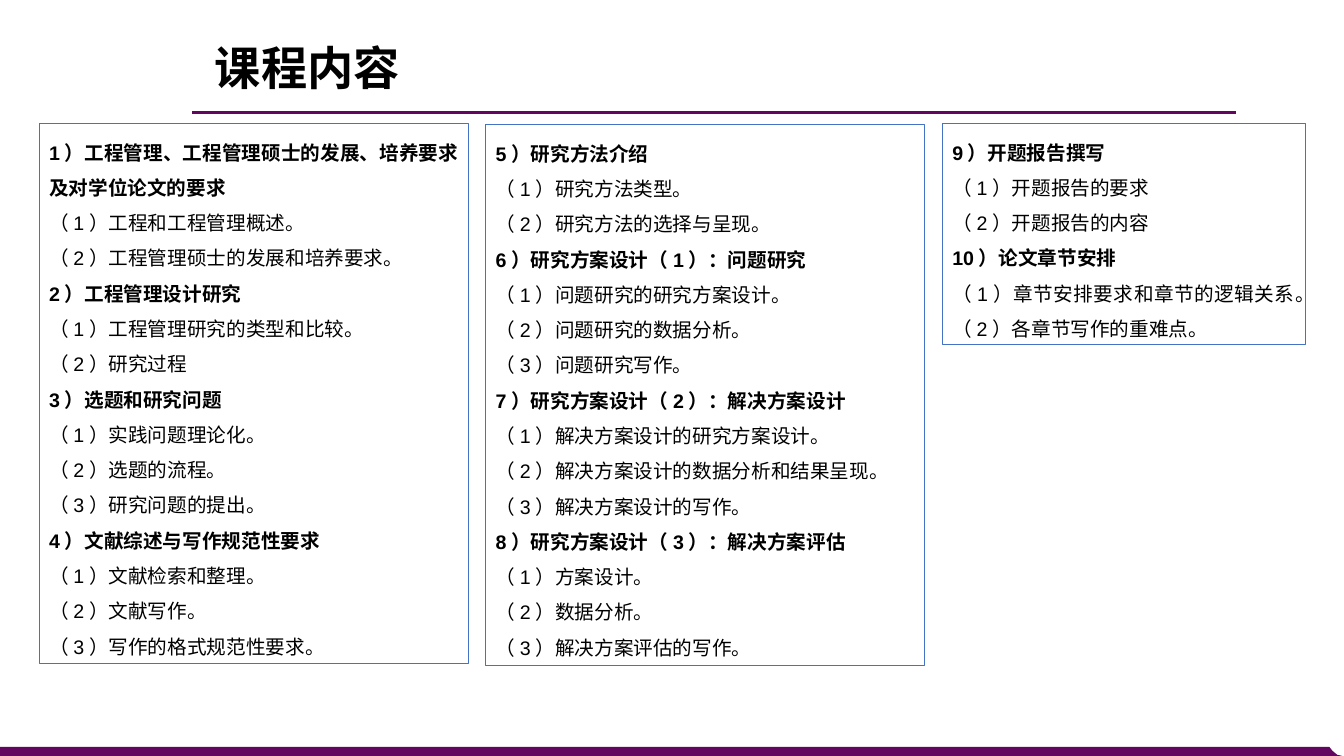
from pptx import Presentation
from pptx.dml.color import RGBColor
from pptx.enum.shapes import MSO_CONNECTOR, MSO_SHAPE
from pptx.enum.text import MSO_ANCHOR, MSO_AUTO_SIZE, PP_ALIGN
from pptx.oxml.ns import qn
from pptx.util import Cm, Pt
from lxml.etree import SubElement

TITLE = "课程内容"
# Each column: (left, top, width, height) in cm, then its chapters with their points
COLUMNS = [
    ((0.99, 3.12, 10.82, 13.61), [
        ("工程管理、工程管理硕士的发展、培养要求及对学位论文的要求",
         ["工程和工程管理概述。", "工程管理硕士的发展和培养要求。"]),
        ("工程管理设计研究", ["工程管理研究的类型和比较。", "研究过程"]),
        ("选题和研究问题", ["实践问题理论化。", "选题的流程。", "研究问题的提出。"]),
        ("文献综述与写作规范性要求",
         ["文献检索和整理。", "文献写作。", "写作的格式规范性要求。"]),
    ]),
    ((12.24, 3.15, 11.07, 13.61), [
        ("研究方法介绍", ["研究方法类型。", "研究方法的选择与呈现。"]),
        ("研究方案设计（1）：问题研究",
         ["问题研究的研究方案设计。", "问题研究的数据分析。", "问题研究写作。"]),
        ("研究方案设计（2）：解决方案设计",
         ["解决方案设计的研究方案设计。", "解决方案设计的数据分析和结果呈现。",
          "解决方案设计的写作。"]),
        ("研究方案设计（3）：解决方案评估",
         ["方案设计。", "数据分析。", "解决方案评估的写作。"]),
    ]),
    ((23.75, 3.12, 9.14, 5.56), [
        ("开题报告撰写", ["开题报告的要求", "开题报告的内容"]),
        ("论文章节安排", ["章节安排要求和章节的逻辑关系。", "各章节写作的重难点。"]),
    ]),
]
FOOTER = [(0, 18.82), (33.5, 18.82), (33.58, 18.92), (33.7, 19.02), (33.83, 19.05), (0, 19.05)]
COLORS = {"purple": "63065F", "blue": "4472C4", "text": "000000"}
FONT = "Arial"


def color(name):
    return RGBColor.from_string(COLORS[name])


def set_font(paragraph, size, bold):
    font = paragraph.font
    font.name, font.size, font.bold = FONT, Pt(size), bold
    font.color.rgb = color("text")


def add_title(slide):
    title = slide.shapes.title
    title.left, title.top, title.width, title.height = Cm(5.16), Cm(1.09), Cm(16.2), Cm(1.35)
    frame = title.text_frame
    frame.text = TITLE
    frame.auto_size = MSO_AUTO_SIZE.NONE
    frame.vertical_anchor = MSO_ANCHOR.MIDDLE
    paragraph = frame.paragraphs[0]
    paragraph.alignment = PP_ALIGN.LEFT
    paragraph.line_spacing = 0.9
    set_font(paragraph, 33, True)


def add_decoration(slide):
    """Draw the footer band and the rule under the title."""
    points = [(Cm(x), Cm(y)) for x, y in FOOTER]
    builder = slide.shapes.build_freeform(*points[0])
    builder.add_line_segments(points[1:], close=True)
    band = builder.convert_to_shape()
    band.shadow.inherit = False
    band.fill.solid()
    band.fill.fore_color.rgb = color("purple")
    band.line.fill.background()

    rule = slide.shapes.add_connector(MSO_CONNECTOR.STRAIGHT, Cm(4.85), Cm(2.84), Cm(31.14), Cm(2.84))
    rule.line.color.rgb = color("purple")
    rule.line.width = Pt(2.25)
    SubElement(rule._element.spPr, qn("a:effectLst"))


def add_column(slide, box, lines):
    shape = slide.shapes.add_shape(MSO_SHAPE.RECTANGLE, *(Cm(value) for value in box))
    shape.shadow.inherit = False
    shape.fill.background()
    shape.line.color.rgb = color("blue")
    shape.line.width = Pt(0.75)
    frame = shape.text_frame
    frame.word_wrap = True
    frame.auto_size = MSO_AUTO_SIZE.SHAPE_TO_FIT_TEXT
    frame.vertical_anchor = MSO_ANCHOR.TOP
    for index, (text, bold) in enumerate(lines):
        paragraph = frame.add_paragraph() if index else frame.paragraphs[0]
        paragraph.text = text
        paragraph.alignment = PP_ALIGN.JUSTIFY
        paragraph.line_spacing = 1.5
        set_font(paragraph, 14, bold)


def main():
    presentation = Presentation()
    presentation.slide_width, presentation.slide_height = Cm(33.87), Cm(19.05)
    slide = presentation.slides.add_slide(presentation.slide_layouts[5])
    add_decoration(slide)
    add_title(slide)
    number = 0
    for box, chapters in COLUMNS:
        lines = []
        for heading, points in chapters:
            number += 1
            lines.append((f"{number}）{heading}", True))
            lines += [(f"（{i}）{point}", False) for i, point in enumerate(points, 1)]
        add_column(slide, box, lines)
    presentation.save("out.pptx")


if __name__ == "__main__":
    main()
